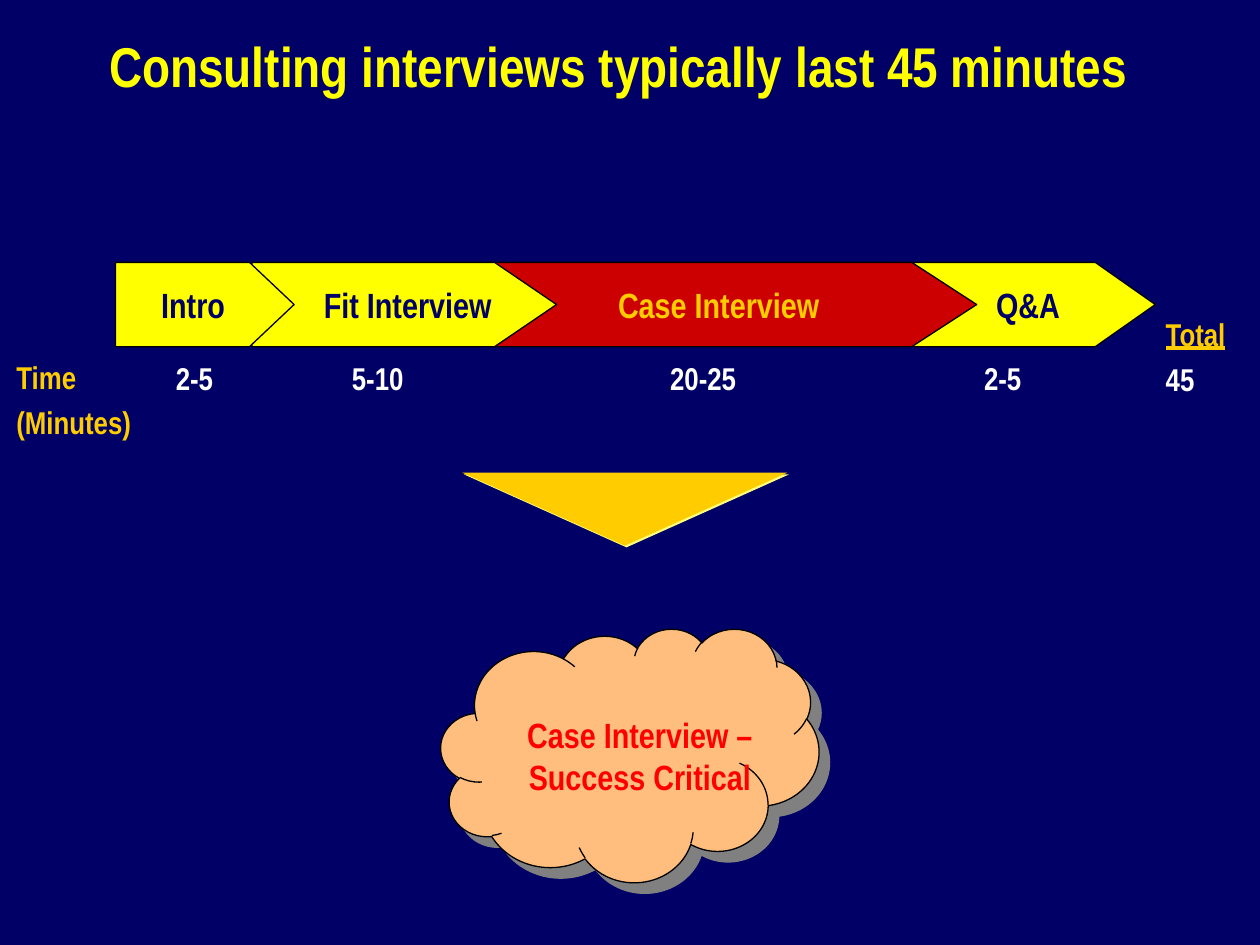
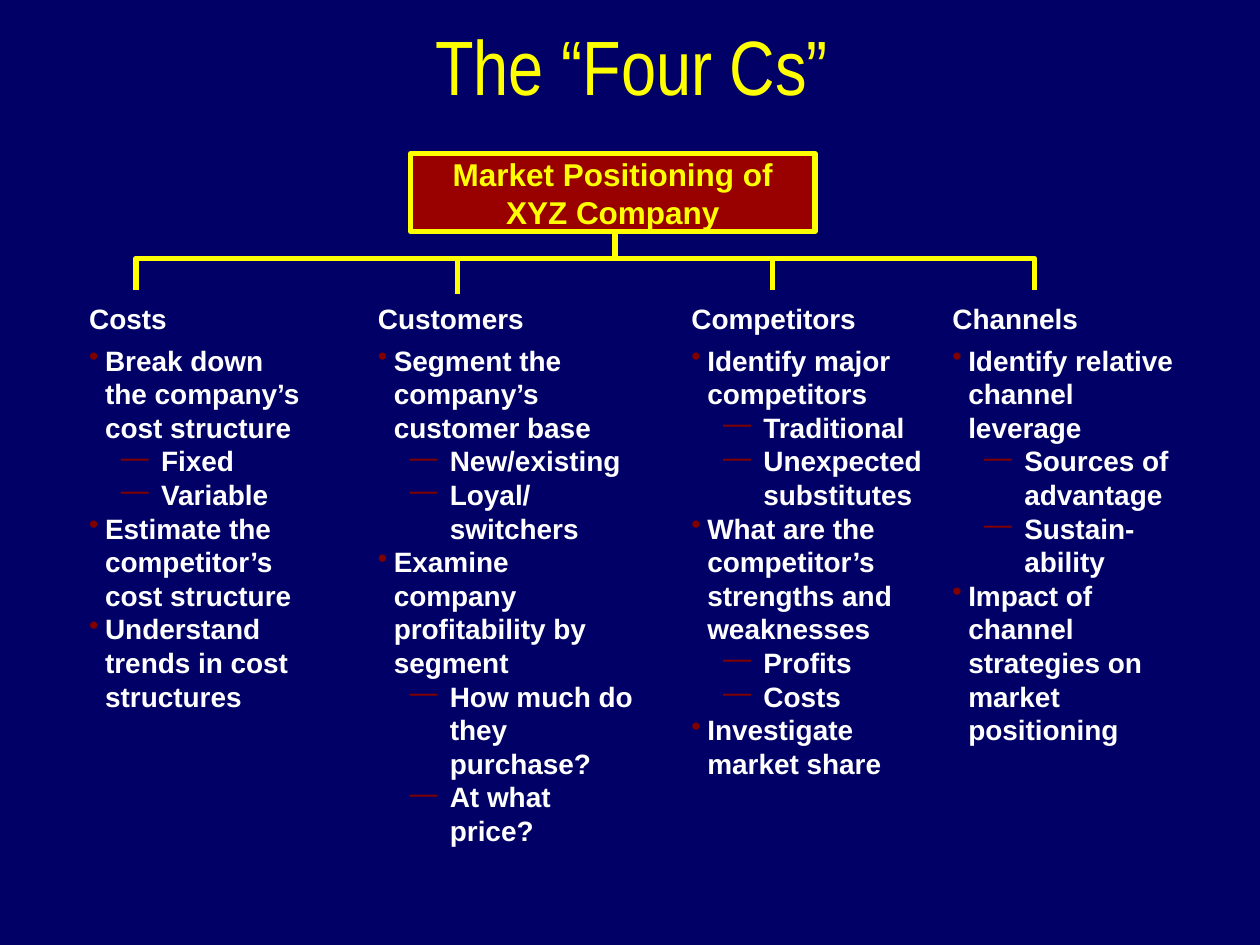
from copy import deepcopy

from lxml import etree
from pptx import Presentation
from pptx.dml.color import RGBColor
from pptx.enum.shapes import MSO_CONNECTOR, MSO_SHAPE
from pptx.enum.text import MSO_ANCHOR, PP_ALIGN
from pptx.oxml.ns import qn
from pptx.util import Cm, Pt

LEFT, CENTER = PP_ALIGN.LEFT, PP_ALIGN.CENTER
TOP, MIDDLE, BOTTOM = MSO_ANCHOR.TOP, MSO_ANCHOR.MIDDLE, MSO_ANCHOR.BOTTOM
STRAIGHT = MSO_CONNECTOR.STRAIGHT
NARROW, ARIAL = "Arial Narrow", "Arial"

COLORS = {
    "navy": "000066", "yellow": "FFFF00", "gold": "FFCC00", "white": "FFFFFF",
    "black": "000000", "red": "CC0000", "bright red": "FF0000",
    "dark red": "990000", "maroon": "800000", "peach": "FFBE7D",
    "gray": "808080", "pale yellow": "FFFF7F",
}
RGB = {name: RGBColor.from_string(value) for name, value in COLORS.items()}


def add_frame(slide, left, top, width, height, anchor=TOP, inset=(0, 0), wrap=True):
    """Add a text box and return its empty text frame; inset is (sides, top and bottom)."""
    frame = slide.shapes.add_textbox(Cm(left), Cm(top), Cm(width), Cm(height)).text_frame
    frame.word_wrap = wrap
    frame.vertical_anchor = anchor
    frame.margin_left = frame.margin_right = Cm(inset[0])
    frame.margin_top = frame.margin_bottom = Cm(inset[1])
    return frame


def add_text(frame, text, size=18, font=NARROW, color="white", bold=True, underline=False,
             align=LEFT, before=0, margin=0, hanging=0, bullet=None):
    """Write one paragraph, using the frame's first paragraph while it is empty."""
    first = frame.paragraphs[0]
    paragraph = frame.add_paragraph() if first.runs else first
    paragraph.text = text.replace("\n", "\v")
    paragraph.alignment = align
    paragraph.space_before = Pt(before)
    for run in paragraph.runs:
        run.font.size = Pt(size)
        run.font.name = font
        run.font.bold = bold
        run.font.underline = underline
        run.font.color.rgb = RGB[color]
    for line_break in paragraph._p.findall(qn("a:br")):
        line_break.insert(0, deepcopy(paragraph.runs[0]._r.rPr))
    properties = paragraph._p.get_or_add_pPr()
    properties.set("marL", str(Cm(margin)))
    properties.set("indent", str(-Cm(hanging)))
    if bullet:
        bullet_color = etree.SubElement(properties, qn("a:buClr"))
        etree.SubElement(bullet_color, qn("a:srgbClr"), val=COLORS["maroon"])
        etree.SubElement(properties, qn("a:buChar"), char=bullet)


prs = Presentation()
prs.slide_width, prs.slide_height = Cm(25.4), Cm(19.05)

# Shared background and titles
slides = []
for title, box, size, bold in [
    ("Consulting interviews typically last 45 minutes", (0.43, 0.64, 24.1, 1.35), 32, True),
    ("The “Four Cs”", (1.35, 0.38, 22.78, 1.47), 44, False),
]:
    slide = prs.slides.add_slide(prs.slide_layouts[6])
    slide.background.fill.solid()
    slide.background.fill.fore_color.rgb = RGB["navy"]
    add_text(add_frame(slide, *box), title, size=size, bold=bold, color="yellow", align=CENTER)
    slides.append(slide)
timeline, four_cs = slides

# Slide 1: interview stages, last one first so that each overlaps the next
BAND_TOP, BAND_HEIGHT = 5.29, 1.7
STAGES = [
    # stage, left, width, point length, fill, label colour, label left and width,
    # minutes, minutes left and width
    ("Q&A", 18.42, 4.87, 1.21, "yellow", "navy", 19.9, 1.9, "2-5", 18.87, 2.69),
    ("Case Interview", 9.95, 9.74, 1.31, "red", "gold", 12.28, 5.08, "20-25", 12.09, 4.17),
    ("Fit Interview", 5.08, 6.14, 1.25, "yellow", "navy", 6.35, 4.45, "5-10", 6.32, 2.59),
    ("Intro", 2.33, 3.6, 0.9, "yellow", "navy", 3.07, 2.11, "2-5", 2.46, 2.92),
]
for (stage, left, width, point, fill, label_color, label_left, label_width,
     minutes, minutes_left, minutes_width) in STAGES:
    arrow = timeline.shapes.add_shape(
        MSO_SHAPE.PENTAGON, Cm(left), Cm(BAND_TOP), Cm(width), Cm(BAND_HEIGHT))
    arrow.adjustments[0] = point / BAND_HEIGHT
    arrow.shadow.inherit = False
    arrow.fill.solid()
    arrow.fill.fore_color.rgb = RGB[fill]
    arrow.line.color.rgb = RGB["black"]
    arrow.line.width = Pt(0.75)
    add_text(add_frame(timeline, label_left, BAND_TOP, label_width, BAND_HEIGHT, MIDDLE),
             stage, size=20, color=label_color, before=5, margin=0.18)
    add_text(add_frame(timeline, minutes_left, 7.24, minutes_width, 0.76),
             minutes, align=CENTER, before=4.5)

time_unit = add_frame(timeline, 0.33, 7.21, 2.9, 1.68)
for line in ("Time", "(Minutes)"):
    add_text(time_unit, line, color="gold", before=4.5)
total = add_frame(timeline, 23.5, 6.35, 1.7, 1.68, BOTTOM)
add_text(total, "Total", color="gold", underline=True, before=4.5)
add_text(total, "45", before=4.5)

# Pointer and cloud, each with an offset shadow
for preset, box, rotation, fill, outline, shadow, distance in [
    (MSO_SHAPE.ISOSCELES_TRIANGLE, (9.32, 9.53, 6.55, 1.47), 180, "gold", None, "pale yellow", 1.4),
    (MSO_SHAPE.CLOUD, (8.89, 12.67, 7.62, 5.11), 0, "peach", "black", "gray", 8.5),
]:
    shape = timeline.shapes.add_shape(preset, *map(Cm, box))
    shape.rotation = rotation
    shape.fill.solid()
    shape.fill.fore_color.rgb = RGB[fill]
    if outline:
        shape.line.color.rgb = RGB[outline]
        shape.line.width = Pt(0.75)
    else:
        shape.line.fill.background()
    shape.shadow.inherit = False
    effects = shape._element.spPr.find(qn("a:effectLst"))
    outer = etree.SubElement(effects, qn("a:outerShdw"), dist=str(Pt(distance)),
                             dir="2700000", algn="ctr", rotWithShape="0")
    etree.SubElement(outer, qn("a:srgbClr"), val=COLORS[shadow])
add_text(add_frame(timeline, 9.74, 14.18, 6.14, 2.12, MIDDLE),
         "Case Interview – Success Critical",
         size=20, color="bright red", align=CENTER, before=5, margin=0.18)

# Slide 2: tree from the market position down to the four Cs
TREE_Y, DROP_Y = 5.21, 5.85
for x, start, end in [(12.4, 4.57, TREE_Y), (9.22, 5.92, TREE_Y), (15.57, TREE_Y, DROP_Y)]:
    branch = four_cs.shapes.add_connector(STRAIGHT, Cm(x), Cm(start), Cm(x), Cm(end))
    branch.line.color.rgb = RGB["yellow"]
    branch.line.width = Pt(3)
    etree.SubElement(branch._element.spPr, qn("a:effectLst"))

first_x, last_x = 2.74, 20.86
builder = four_cs.shapes.build_freeform(Cm(first_x), Cm(DROP_Y))
builder.add_line_segments(
    [(Cm(first_x), Cm(TREE_Y)), (Cm(last_x), Cm(TREE_Y)), (Cm(last_x), Cm(DROP_Y))], close=False)
bracket = builder.convert_to_shape()
bracket.shadow.inherit = False
bracket.fill.background()
bracket.line.color.rgb = RGB["yellow"]
bracket.line.width = Pt(3)

root = four_cs.shapes.add_shape(MSO_SHAPE.RECTANGLE, Cm(8.28), Cm(3.1), Cm(8.15), Cm(1.57))
root.shadow.inherit = False
root.fill.solid()
root.fill.fore_color.rgb = RGB["dark red"]
root.line.color.rgb = RGB["yellow"]
root.line.width = Pt(3)
root.text_frame.word_wrap = False
root.text_frame.vertical_anchor = MIDDLE
add_text(root.text_frame, "Market Positioning of\nXYZ Company",
         font=ARIAL, color="yellow", align=CENTER)

# Each point is (text, sub-points)
COLUMNS = [
    ("Costs", 1.55, 4.9, [
        ("Break down the company’s cost structure", ["Fixed", "Variable"]),
        ("Estimate the competitor’s cost structure", []),
        ("Understand trends in cost structures", []),
    ]),
    ("Customers", 7.37, 5.72, [
        ("Segment the company’s customer base", ["New/existing", "Loyal/\nswitchers"]),
        ("Examine company profitability by segment",
         ["How much do they purchase?", "At what price?"]),
    ]),
    ("Competitors", 13.69, 5.26, [
        ("Identify major competitors", ["Traditional", "Unexpected substitutes"]),
        ("What are the competitor’s strengths and weaknesses", ["Profits", "Costs"]),
        ("Investigate market share", []),
    ]),
    ("Channels", 18.95, 5.05, [
        ("Identify relative channel leverage", ["Sources of advantage", "Sustain-ability"]),
        ("Impact of channel strategies on market positioning", []),
    ]),
]
INSET = (0.25, 0.13)
for heading, left, width, points in COLUMNS:
    add_text(add_frame(four_cs, left, 5.95, width, 0.91, inset=INSET),
             heading, size=16, font=ARIAL)
    body = add_frame(four_cs, left, 6.79, width, 6.12, inset=INSET)
    for point, sub_points in points:
        add_text(body, point, size=16, font=ARIAL, margin=0.32, hanging=0.32, bullet="•")
        for sub_point in sub_points:
            add_text(body, sub_point, size=16, font=ARIAL, margin=1.45, hanging=0.81, bullet="—")

prs.save("out.pptx")
